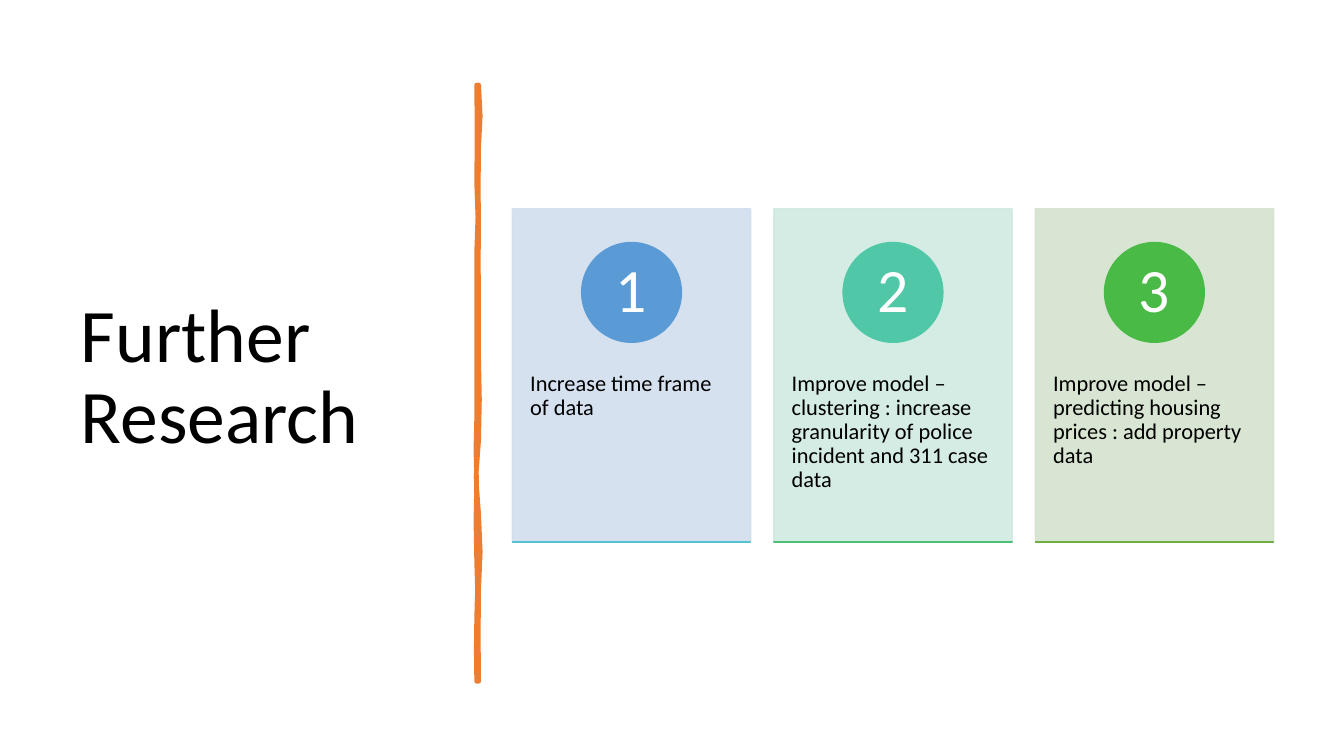
from lxml.etree import SubElement
from pptx import Presentation
from pptx.dml.color import RGBColor
from pptx.enum.shapes import MSO_SHAPE
from pptx.enum.text import MSO_ANCHOR, MSO_AUTO_SIZE, PP_ALIGN
from pptx.oxml.ns import qn
from pptx.util import Pt

PX = 9525
FINE = 100
STEPS = 2

BLACK = RGBColor(0, 0, 0)
WHITE = RGBColor(255, 255, 255)
ORANGE = RGBColor(0xED, 0x7D, 0x31)

CARDS = [
    ("Increase time frame of data",
     RGBColor(0xD2, 0xDE, 0xEF), RGBColor(0x5B, 0x9B, 0xD5), RGBColor(0x55, 0xC3, 0xCF)),
    ("Improve model – clustering : increase granularity of police incident and 311 case data",
     RGBColor(0xD0, 0xEA, 0xE1), RGBColor(0x50, 0xC8, 0xA7), RGBColor(0x4B, 0xC1, 0x74)),
    ("Improve model – predicting housing prices : add property data",
     RGBColor(0xD5, 0xE3, 0xCF), RGBColor(0x4A, 0xBA, 0x46), RGBColor(0x70, 0xAD, 0x47)),
]

RIGHT = [(59, 2, 2), (136, -2, 1), (201, -1, 0), (261, 2, -2),
         (338, -2, 4), (409, -4, -3), (480, 2, 2), (568, -2, 1)]
LEFT = [(507, 1, -2), (454, 1, 1), (377, -1, -1), (317, 0, -2),
        (241, 1, -1), (159, 1, -1), (93, 1, 2), (0, -3, 4)]


def box(*sides):
    return [side * PX for side in sides]


def apply(item, form):
    for name, value in form.items():
        setattr(item, name, value)


def write(shape, text, size, color, align, anchor, inset):
    frame = shape.text_frame
    across, down = box(*inset)
    apply(frame, {
        "text": text, "word_wrap": True, "auto_size": MSO_AUTO_SIZE.NONE,
        "vertical_anchor": anchor, "margin_left": across, "margin_right": across,
        "margin_top": down, "margin_bottom": down,
    })
    para = frame.paragraphs[0]
    apply(para, {"alignment": align, "line_spacing": 0.9})
    apply(para.font, {"name": "Calibri", "size": Pt(size)})
    para.font.color.rgb = color


def paint(shape, color, width):
    shape.shadow.inherit = False
    shape.fill.solid()
    shape.fill.fore_color.rgb = color
    shape.line.color.rgb = color
    shape.line.width = Pt(width)


def fade(shape, share):
    for tint in shape._element.spPr.iter(qn("a:srgbClr")):
        SubElement(tint, qn("a:alpha")).set("val", str(share * 1000))


def add_title(slide, left, top, width, height):
    title = slide.shapes.title
    places = box(left, top, width, height)
    apply(title, dict(zip(("left", "top", "width", "height"), places)))
    write(title, "Further Research", 54, BLACK, PP_ALIGN.LEFT, MSO_ANCHOR.MIDDLE, (11, 5))


def trace(edge, start, x, top):
    points = [(x * FINE, (top + start) * FINE)]
    for end, near, far in edge:
        for step in range(1, STEPS + 1):
            t = step / STEPS
            bend = 3 * t * (1 - t) * (near * (1 - t) + far * t)
            y = start + (end - start) * t
            points.append(((x + bend) * FINE, (top + y) * FINE))
        start = end
    return points


def add_stroke(slide, left, top, width, height):
    points = trace(RIGHT, 0, left + width, top) + trace(LEFT, height, left, top)
    pen = slide.shapes.build_freeform(*points[0], scale=PX / FINE)
    pen.add_line_segments(points[1:], close=True)
    paint(pen.convert_to_shape(), ORANGE, 3.25)


def add_card(slide, left, top, width, height, number, card):
    text, back, disc, base = card
    shapes = slide.shapes
    panel = shapes.add_shape(MSO_SHAPE.RECTANGLE, *box(left, top, width, height))
    paint(panel, back, 1)
    fade(panel, 90)

    label = shapes.add_textbox(*box(left, top + 120, width, 190))
    write(label, text, 16, BLACK, PP_ALIGN.LEFT, MSO_ANCHOR.TOP, (17, 35))

    size = 95
    badge = shapes.add_shape(
        MSO_SHAPE.OVAL, *box(left + (width - size) // 2, top + 32, size, size))
    paint(badge, disc, 1)
    write(badge, str(number), 44, WHITE, PP_ALIGN.CENTER, MSO_ANCHOR.MIDDLE, (0, 0))

    rule = shapes.add_shape(MSO_SHAPE.RECTANGLE, *box(left, top + height, width, 0))
    paint(rule, base, 1)


def add_cards(slide, left, top, width, height):
    gap = 22
    wide = (width - gap * (len(CARDS) - 1)) // len(CARDS)
    for spot, card in enumerate(CARDS):
        add_card(slide, left + spot * (wide + gap), top, wide, height, spot + 1, card)


def main():
    deck = Presentation()
    deck.slide_width, deck.slide_height = box(1280, 720)
    slide = deck.slides.add_slide(deck.slide_layouts[5])
    add_title(slide, 66, 67, 359, 587)
    add_stroke(slide, 454, 81, 2, 568)
    add_cards(slide, 488, 199, 725, 317)
    deck.save("out.pptx")


if __name__ == "__main__":
    main()
